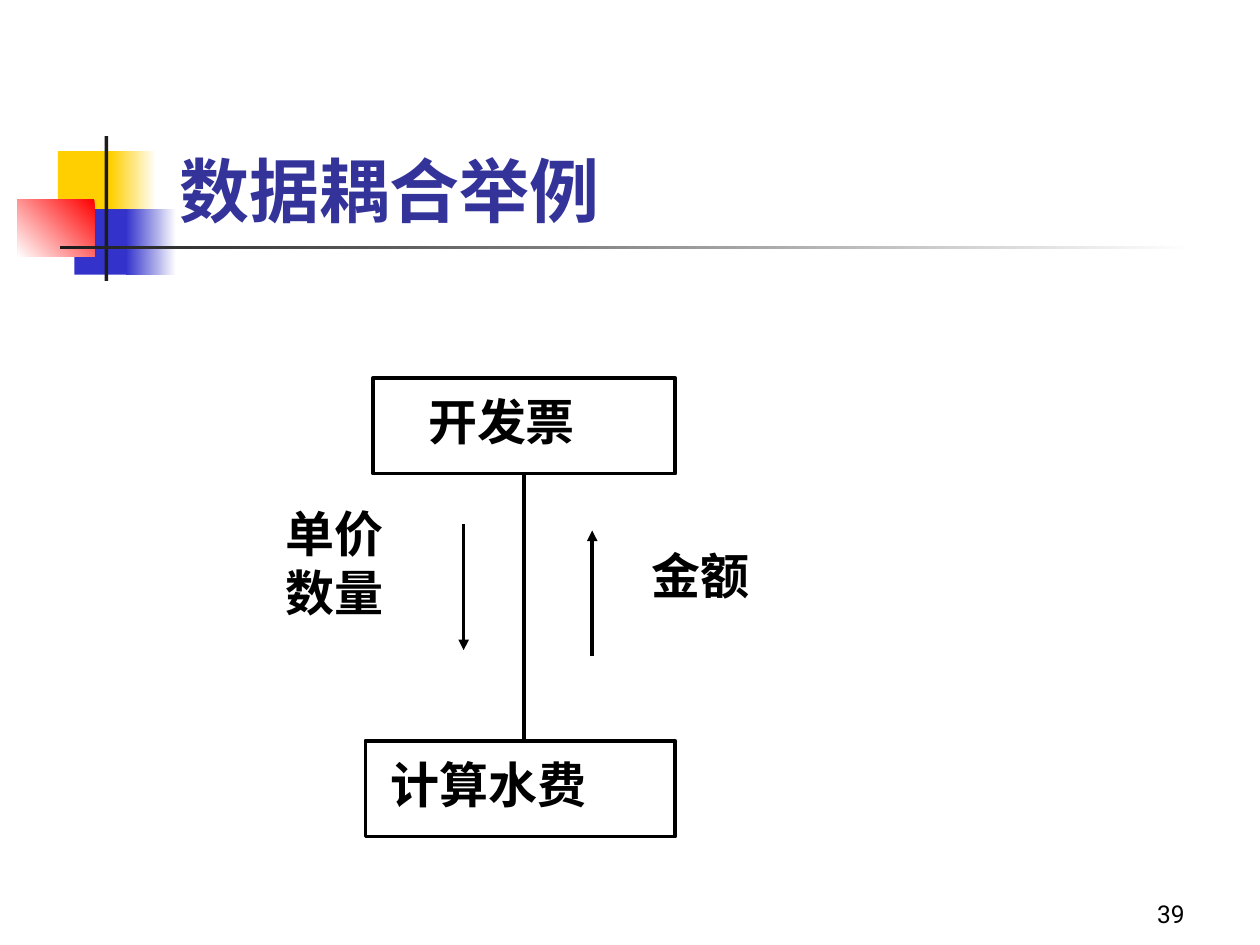
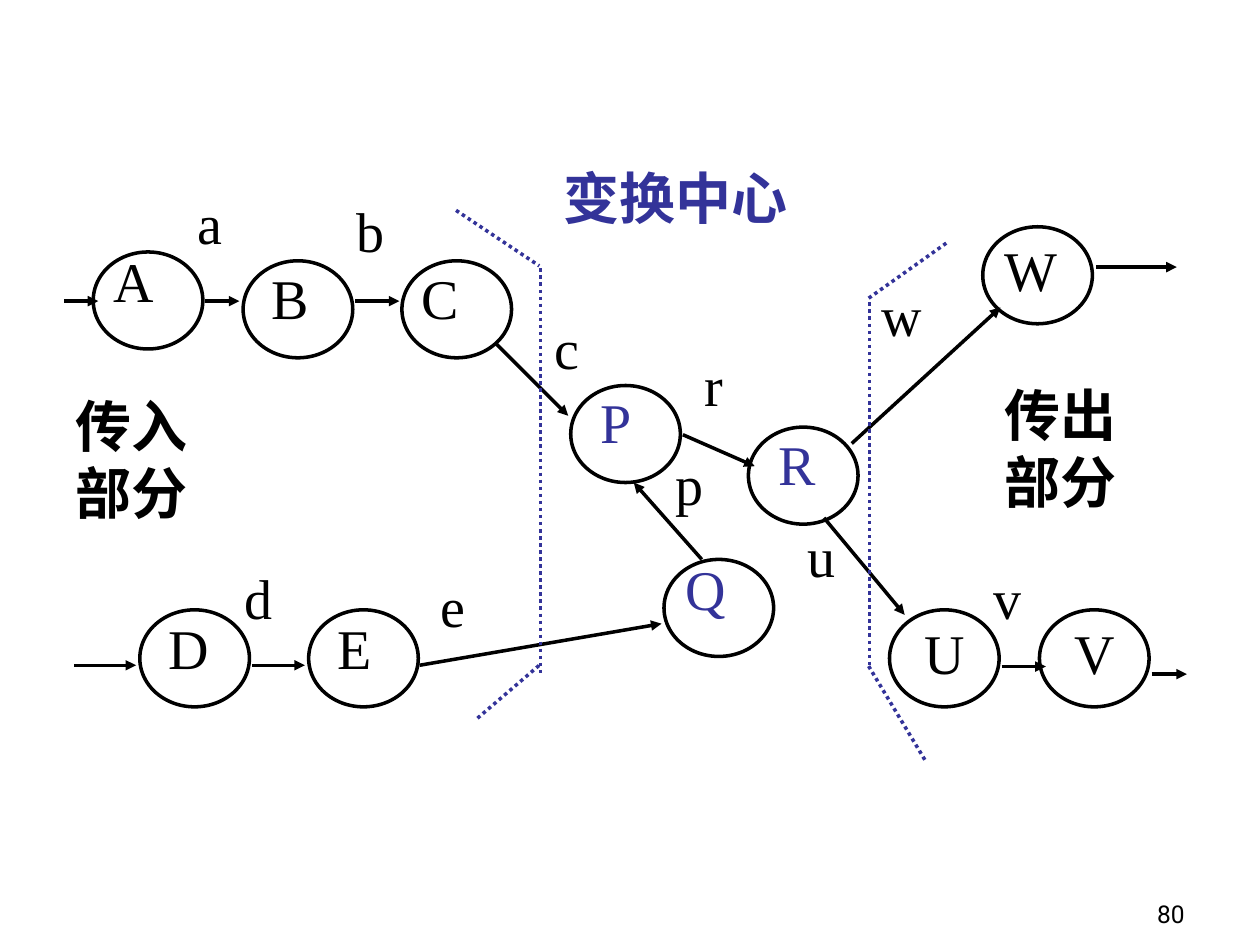
"""Build two slides on data coupling and transform-centred data flow."""
from dataclasses import dataclass
from typing import Optional

import pptx
import pptx.dml.color
import pptx.enum.dml
import pptx.enum.shapes
import pptx.enum.text
import pptx.oxml
import pptx.oxml.ns
import pptx.util
from pptx.dml.color import RGBColor
from pptx.shapes.autoshape import Shape
from pptx.slide import Slide

BLACK = RGBColor(0x00, 0x00, 0x00)
WHITE = RGBColor(0xFF, 0xFF, 0xFF)
INDIGO = RGBColor(0x33, 0x33, 0x99)
BLUE = RGBColor(0x33, 0x33, 0xCC)
YELLOW = RGBColor(0xFF, 0xCF, 0x01)
RED = RGBColor(0xFF, 0x00, 0x00)
CHARCOAL = RGBColor(0x1C, 0x1C, 0x1C)

CJK = "Noto Sans CJK SC"
SERIF = "Times New Roman"
SANS = "Roboto"

RECT = pptx.enum.shapes.MSO_SHAPE.RECTANGLE
OVAL = pptx.enum.shapes.MSO_SHAPE.OVAL
TOP = pptx.enum.text.MSO_ANCHOR.TOP
MIDDLE = pptx.enum.text.MSO_ANCHOR.MIDDLE
BOTTOM = pptx.enum.text.MSO_ANCHOR.BOTTOM
LEFT = pptx.enum.text.PP_ALIGN.LEFT
RIGHT = pptx.enum.text.PP_ALIGN.RIGHT

NODE_W, NODE_H = 0.87, 0.77
LETTER_W, LETTER_H = 0.55, 0.63
LINE_WIDTH = pptx.util.Pt(2)


@dataclass(frozen=True)
class Band:
    """A borderless block, plain or fading from start to end."""
    left: float
    top: float
    width: float
    height: float
    start: RGBColor
    end: Optional[RGBColor] = None
    angle: float = 180


@dataclass(frozen=True)
class Node:
    """A process circle with its letter offset from the corner."""
    name: str
    left: float
    top: float
    dx: float
    dy: float
    color: RGBColor = BLACK


@dataclass(frozen=True)
class Line:
    """A straight line, with an arrowhead at its end unless dotted."""
    x1: float
    y1: float
    x2: float
    y2: float
    arrow: bool = True
    dotted: bool = False


@dataclass(frozen=True)
class Label:
    """A letter naming a data flow."""
    text: str
    left: float
    top: float


TITLE_BANDS = [
    Band(0.46, 1.2, 0.48, 0.52, YELLOW),
    Band(0.88, 1.2, 0.36, 0.52, WHITE, YELLOW),
    Band(0.59, 1.66, 0.46, 0.52, BLUE),
    Band(1, 1.66, 0.4, 0.52, WHITE, BLUE),
    Band(0.14, 1.58, 0.61, 0.46, RED, WHITE, 225),
    Band(0.83, 1.08, 0.03, 1.15, CHARCOAL),
    Band(0.48, 1.95, 9, 0.03, WHITE, CHARCOAL),
]

COUPLING_LINES = [
    Line(4.16, 3.77, 4.16, 5.88, arrow=False),
    Line(3.68, 4.16, 3.68, 5.16),
    Line(4.7, 5.21, 4.7, 4.21),
]

NODES = [
    Node("A", 0.74, 2, 0.06, -0.09),
    Node("B", 1.93, 2.07, 0.13, -0.03),
    Node("C", 3.19, 2.07, 0.06, -0.03),
    Node("D", 1.11, 4.84, 0.13, -0.02),
    Node("E", 2.45, 4.84, 0.13, -0.02),
    Node("Q", 5.27, 4.44, 0.07, -0.09, INDIGO),
    Node("P", 4.53, 3.06, 0.14, -0.03, INDIGO),
    Node("R", 5.94, 3.39, 0.14, -0.03, INDIGO),
    Node("W", 7.8, 1.8, 0.07, 0.02),
    Node("U", 7.06, 4.84, 0.18, 0.02),
    Node("V", 8.25, 4.84, 0.18, 0.02),
]

FLOWS = [
    Line(0.51, 2.39, 0.78, 2.39),
    Line(1.63, 2.39, 1.9, 2.39),
    Line(2.82, 2.39, 3.17, 2.39),
    Line(0.59, 5.28, 1.08, 5.28),
    Line(2, 5.28, 2.42, 5.28),
    Line(3.94, 2.73, 4.51, 3.3),
    Line(3.33, 5.28, 5.25, 4.95),
    Line(5.57, 4.44, 5.03, 3.83),
    Line(5.42, 3.45, 5.99, 3.7),
    Line(6.54, 4.11, 7.18, 4.88),
    Line(7.95, 5.29, 8.3, 5.29),
    Line(6.76, 3.52, 7.94, 2.44),
    Line(8.7, 2.12, 9.34, 2.12),
    Line(9.14, 5.35, 9.42, 5.35),
]

BOUNDARIES = [
    Line(*ends, arrow=False, dotted=True)
    for ends in (
        (4.29, 2.13, 4.29, 5.35),
        (3.62, 1.67, 4.28, 2.11),
        (3.79, 5.7, 4.28, 5.28),
        (6.9, 2.4, 6.9, 5.28),
        (7.51, 1.93, 6.89, 2.37),
        (7.34, 6.03, 6.89, 5.28),
    )
]

FLOW_LABELS = [
    Label("a", 1.47, 1.45),
    Label("b", 2.73, 1.51),
    Label("c", 4.3, 2.44),
    Label("e", 3.4, 4.49),
    Label("d", 1.84, 4.42),
    Label("r", 5.49, 2.73),
    Label("p", 5.26, 3.52),
    Label("u", 6.31, 4.09),
    Label("w", 6.9, 2.18),
    Label("v", 7.79, 4.42),
]


def add_text(s: Slide, text: str, left: float, top: float, width: float, height: float, *,
             size: float = 32, font: str = CJK, color: RGBColor = BLACK, bold: bool = False,
             anchor=TOP, align=LEFT, wrap: bool = True) -> None:
    """Add a text box with one paragraph per line of text."""
    box = s.shapes.add_textbox(*map(pptx.util.Inches, (left, top, width, height)))
    tf = box.text_frame
    tf.word_wrap = wrap
    tf.vertical_anchor = anchor
    for i, words in enumerate(text.split("\n")):
        p = tf.add_paragraph() if i else tf.paragraphs[0]
        p.alignment = align
        r = p.add_run()
        r.text = words
        r.font.size = pptx.util.Pt(size)
        r.font.bold = bold
        r.font.color.rgb = color
        r.font.name = font
        ea = pptx.oxml.ns.qn("a:ea")
        r.font._element.append(r.font._element.makeelement(ea, {"typeface": font}))


def add_outlined(s: Slide, kind, left: float, top: float, width: float, height: float) -> Shape:
    """Add a white shape with a black outline."""
    sp = s.shapes.add_shape(kind, *map(pptx.util.Inches, (left, top, width, height)))
    sp.shadow.inherit = False
    sp.fill.solid()
    sp.fill.fore_color.rgb = WHITE
    sp.line.color.rgb = BLACK
    sp.line.width = LINE_WIDTH
    return sp


def add_band(s: Slide, band: Band) -> None:
    """Draw one block of the title ornament."""
    bounds = (band.left, band.top, band.width, band.height)
    sp = s.shapes.add_shape(RECT, *map(pptx.util.Inches, bounds))
    sp.shadow.inherit = False
    sp.line.fill.background()
    if band.end is None:
        sp.fill.solid()
        sp.fill.fore_color.rgb = band.start
        return
    sp.fill.gradient()
    sp.fill.gradient_angle = band.angle
    for stop, color in zip(sp.fill.gradient_stops, (band.start, band.end)):
        stop.color.rgb = color


def add_line(s: Slide, line: Line) -> None:
    """Draw a connector, dotted or with an arrowhead."""
    ends = map(pptx.util.Inches, (line.x1, line.y1, line.x2, line.y2))
    sp = s.shapes.add_connector(pptx.enum.shapes.MSO_CONNECTOR.STRAIGHT, *ends)
    sp.line.color.rgb = INDIGO if line.dotted else BLACK
    sp.line.width = LINE_WIDTH
    if line.dotted:
        sp.line.dash_style = pptx.enum.dml.MSO_LINE.ROUND_DOT
    qn = pptx.oxml.ns.qn
    sp_pr = sp._element.spPr
    if line.arrow:
        ln = sp_pr.find(qn("a:ln"))
        ln.append(ln.makeelement(qn("a:tailEnd"), {"type": "triangle"}))
    sp_pr.append(sp_pr.makeelement(qn("a:effectLst"), {}))


def add_node(s: Slide, node: Node) -> None:
    """Draw a process circle and its letter."""
    add_outlined(s, OVAL, node.left, node.top, NODE_W, NODE_H)
    add_text(s, node.name, node.left + node.dx, node.top + node.dy, LETTER_W, LETTER_H,
             font=SERIF, color=node.color)


def add_slide(prs, number: int) -> Slide:
    """Add a blank slide with its page number."""
    s = prs.slides.add_slide(prs.slide_layouts[6])
    add_text(s, str(number), 7.42, 6.92, 2.08, 0.5, size=14, font=SANS,
             anchor=BOTTOM, align=RIGHT)
    return s


def build_coupling(prs) -> None:
    """Build the data coupling example."""
    s = add_slide(prs, 39)
    for band in TITLE_BANDS:
        add_band(s, band)
    add_text(s, "数据耦合举例", 1.33, 1.08, 7.25, 0.85, size=40, color=INDIGO,
             bold=True, anchor=MIDDLE)
    add_outlined(s, RECT, 2.96, 3, 2.4, 0.76)
    add_outlined(s, RECT, 2.9, 5.88, 2.46, 0.76)
    for line in COUPLING_LINES:
        add_line(s, line)
    add_text(s, "开发票", 3.3, 3.06, 1.37, 0.57, size=28, bold=True, wrap=False)
    add_text(s, "计算水费", 3, 5.94, 1.76, 0.57, size=28, bold=True, wrap=False)
    add_text(s, "单价\n数量", 2.17, 3.95, 1.39, 1.04, size=28, bold=True)
    add_text(s, "金额", 5.07, 4.28, 1.27, 0.57, size=28, bold=True)


def build_transform(prs) -> None:
    """Build the data flow diagram around the transform centre."""
    s = add_slide(prs, 80)
    for node in NODES:
        add_node(s, node)
    for line in FLOWS + BOUNDARIES:
        add_line(s, line)
    for label in FLOW_LABELS:
        add_text(s, label.text, label.left, label.top, LETTER_W, LETTER_H, font=SERIF)
    add_text(s, "变换中心", 4.37, 1.25, 2.68, 0.63, color=INDIGO, bold=True)
    add_text(s, "传入部分", 0.5, 3.06, 1.49, 1.16, bold=True)
    add_text(s, "传出部分", 7.87, 2.97, 1.49, 1.16, bold=True)


def main() -> None:
    """Build and save the presentation."""
    prs = pptx.Presentation()
    prs.slide_width = pptx.util.Inches(10)
    prs.slide_height = pptx.util.Inches(7.5)
    build_coupling(prs)
    build_transform(prs)
    prs.save("out.pptx")


if __name__ == "__main__":
    main()
